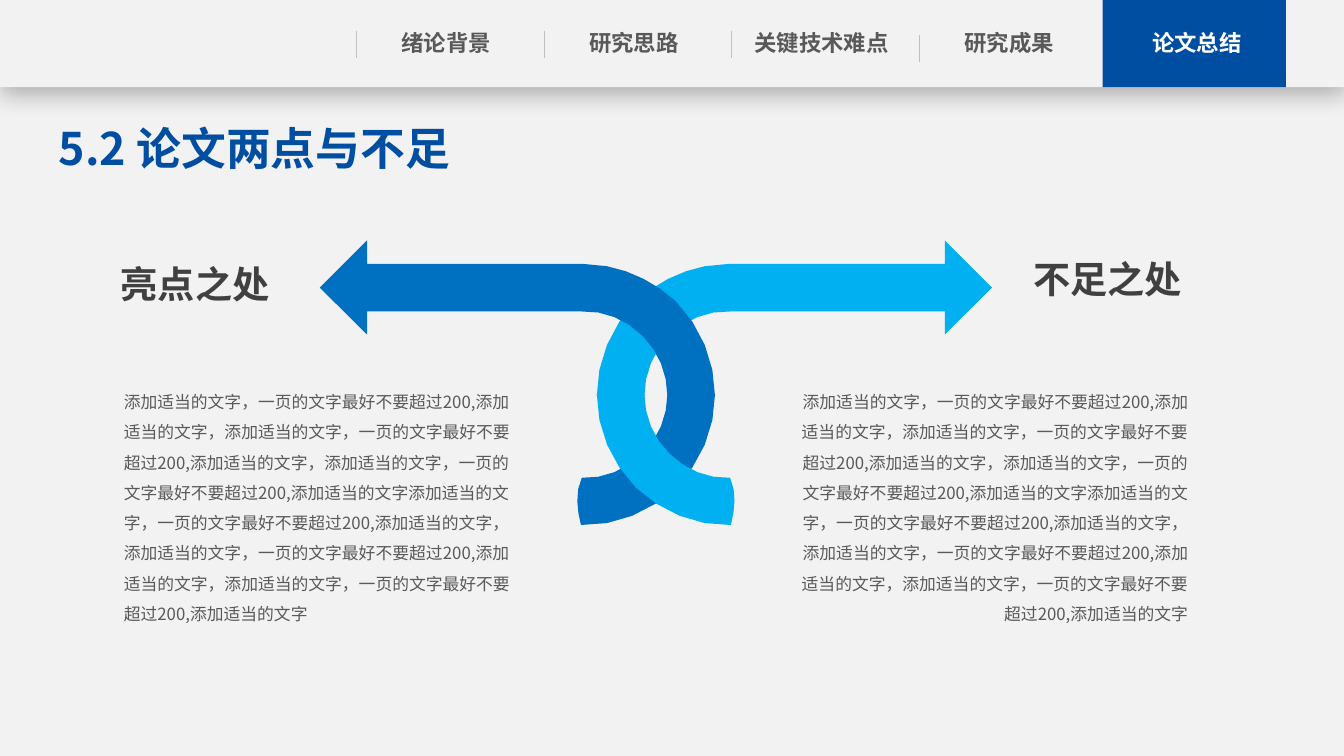
from dataclasses import dataclass

from lxml import etree
from pptx import Presentation
from pptx.dml.color import RGBColor
from pptx.enum.shapes import MSO_CONNECTOR, MSO_SHAPE
from pptx.enum.text import MSO_ANCHOR, MSO_AUTO_SIZE, PP_ALIGN
from pptx.oxml.ns import qn
from pptx.util import Cm, Pt

LEFT, CENTER, RIGHT = PP_ALIGN.LEFT, PP_ALIGN.CENTER, PP_ALIGN.RIGHT
TOP, NO_AUTOFIT = MSO_ANCHOR.TOP, MSO_AUTO_SIZE.NONE
RECTANGLE, STRAIGHT = MSO_SHAPE.RECTANGLE, MSO_CONNECTOR.STRAIGHT

FONT = "Noto Sans CJK SC"
COLORS = {
    "paper": "F2F2F2", "navy": "004EA2", "blue": "0070C0", "sky": "00B0F0",
    "text": "595959", "heading": "404040", "divider": "BFBFBF", "white": "FFFFFF",
    "shadow": "000000",
}
SLIDE_WIDTH, SLIDE_HEIGHT, HEADER_HEIGHT = 33.87, 19.05, 2.2
TAB_LEFT, TAB_PITCH, TAB_WIDTH = 9.38, 4.73, 3.73
TABS = ["绪论背景", "研究思路", "关键技术难点", "研究成果", "论文总结"]
ACTIVE_TAB = 4
DIVIDER_TOPS = [0.79, 0.79, 0.79, 0.88]

PHRASE = "添加适当的文字"
SENTENCE = f"{PHRASE}，一页的文字最好不要超过200,{PHRASE}"
BODY = "，".join([SENTENCE, SENTENCE, SENTENCE * 2, SENTENCE, SENTENCE])

Point = tuple[float, float]
Outline = list[tuple[Point, ...]]

# x runs from the mirror axis; one point is a line, three are a Bézier curve
AXIS = 16.53
ARROW: Outline = [
    ((7.28, 6.06),), ((8.47, 7.25),), ((7.28, 8.43),), ((7.28, 7.85),), ((1.87, 7.85),),
    ((1.31, 7.82), (0.75, 8.05), (0.34, 8.46)),
    ((-0.06, 8.86), (-0.29, 9.40), (-0.29, 9.98)),
    ((-1.49, 9.98),),
    ((-1.49, 9.09), (-1.13, 8.23), (-0.50, 7.59)),
    ((-0.01, 7.14), (0.60, 6.83), (1.23, 6.71)),
    ((1.84, 6.65),), ((7.28, 6.65),),
]
TAIL: Outline = [
    ((-1.49, 9.93),),
    ((-1.49, 10.82), (-1.13, 11.66), (-0.50, 12.29)),
    ((0.14, 12.90), (1.00, 13.26), (1.89, 13.23)),
    ((1.99, 12.85), (2.04, 12.40), (1.87, 12.04)),
    ((1.31, 12.07), (0.75, 11.84), (0.34, 11.43)),
    ((-0.06, 11.05), (-0.29, 10.49), (-0.29, 9.93)),
]


@dataclass(frozen=True)
class Ribbon:
    outline: Outline
    side: int
    color: str


@dataclass(frozen=True)
class Column:
    heading: str
    heading_left: float
    heading_top: float
    body_left: float
    body_width: float
    align: PP_ALIGN


RIBBONS = [
    Ribbon(ARROW, 1, "sky"), Ribbon(ARROW, -1, "blue"),
    Ribbon(TAIL, -1, "blue"), Ribbon(TAIL, 1, "sky"),
]
COLUMNS = [
    Column("亮点之处", 2.79, 6.45, 2.8, 10.5, LEFT),
    Column("不足之处", 25.79, 6.33, 19.66, 10.6, RIGHT),
]


def rgb(name: str) -> RGBColor:
    return RGBColor.from_string(COLORS[name])


def place(shape, left: float, top: float, width: float, height: float) -> None:
    shape.left, shape.top = Cm(left), Cm(top)
    shape.width, shape.height = Cm(width), Cm(height)


def write(shape, text: str, *, size: float, color: str, bold: bool = False,
          align: PP_ALIGN = LEFT, insets: Point = (0, 0.13), wrap: bool = True,
          line_spacing: float = 1.0) -> None:
    frame = shape.text_frame
    frame.auto_size, frame.word_wrap, frame.vertical_anchor = NO_AUTOFIT, wrap, TOP
    frame.margin_left = frame.margin_right = Cm(insets[0])
    frame.margin_top = frame.margin_bottom = Cm(insets[1])
    paragraph = frame.paragraphs[0]
    paragraph.alignment, paragraph.line_spacing = align, line_spacing
    paragraph.space_before = Pt(0)
    run = paragraph.add_run()
    run.text = text
    run.font.size, run.font.bold, run.font.name = Pt(size), bold, FONT
    run.font.color.rgb = rgb(color)
    etree.SubElement(run._r.get_or_add_rPr(), qn("a:ea"), typeface=FONT)


def remove_bullet(shape) -> None:
    properties = shape.text_frame.paragraphs[0]._p.get_or_add_pPr()
    properties.set("marL", "0")
    properties.set("indent", "0")
    etree.SubElement(properties, qn("a:buNone"))


def paint(shape, color: str) -> None:
    shape.shadow.inherit = False
    shape.fill.solid()
    shape.fill.fore_color.rgb = rgb(color)
    shape.line.fill.background()


def add_block(slide, left: float, width: float, height: float, color: str):
    block = slide.shapes.add_shape(RECTANGLE, Cm(left), 0, Cm(width), Cm(height))
    paint(block, color)
    return block


def add_text(slide, box: tuple[float, float, float, float], text: str, **style) -> None:
    write(slide.shapes.add_textbox(*map(Cm, box)), text, **style)


def add_drop_shadow(shape) -> None:
    effects = shape._element.spPr.find(qn("a:effectLst"))
    shadow = etree.SubElement(effects, qn("a:outerShdw"), blurRad=str(Pt(18)),
                              dist=str(Pt(4)), dir="5400000", algn="t", rotWithShape="0")
    tint = etree.SubElement(shadow, qn("a:srgbClr"), val=COLORS["shadow"])
    etree.SubElement(tint, qn("a:alpha"), val="29000")


def add_header(slide) -> None:
    add_drop_shadow(add_block(slide, 0, SLIDE_WIDTH, HEADER_HEIGHT, "paper"))
    add_block(slide, 27.79, 4.62, HEADER_HEIGHT, "navy")
    for index, label in enumerate(TABS):
        color = "white" if index == ACTIVE_TAB else "text"
        add_text(slide, (TAB_LEFT + index * TAB_PITCH, 0.61, TAB_WIDTH, 0.97), label,
                 size=16, color=color, bold=True, align=CENTER)
    for index, top in enumerate(DIVIDER_TOPS):
        x = Cm(TAB_LEFT - 0.4 + index * TAB_PITCH)
        divider = slide.shapes.add_connector(STRAIGHT, x, Cm(top), x, Cm(top + 0.68))
        divider.line.color.rgb, divider.line.width = rgb("divider"), Pt(0.5)
        etree.SubElement(divider._element.spPr, qn("a:effectLst"))


def flatten(outline: Outline, steps: int = 4) -> list[Point]:
    """Turn lines and cubic curves into a polygon."""
    points: list[Point] = []
    for segment in outline:
        if len(segment) == 1:
            points.append(segment[0])
            continue
        curve = (points[-1], *segment)
        for step in range(1, steps + 1):
            t = step / steps
            weights = ((1 - t) ** 3, 3 * t * (1 - t) ** 2, 3 * t * t * (1 - t), t ** 3)
            x, y = (sum(w * p[axis] for w, p in zip(weights, curve)) for axis in (0, 1))
            points.append((x, y))
    return points


def add_ribbon(slide, ribbon: Ribbon) -> None:
    start, *rest = [(Cm(AXIS + ribbon.side * x), Cm(y)) for x, y in flatten(ribbon.outline)]
    builder = slide.shapes.build_freeform(*start)
    builder.add_line_segments(rest, close=True)
    paint(builder.convert_to_shape(), ribbon.color)


def main() -> None:
    deck = Presentation()
    deck.slide_width, deck.slide_height = Cm(SLIDE_WIDTH), Cm(SLIDE_HEIGHT)
    slide = deck.slides.add_slide(deck.slide_layouts.get_by_name("Two Content"))
    title, *bodies = slide.placeholders
    backdrop = add_block(slide, 0, SLIDE_WIDTH, SLIDE_HEIGHT, "paper")
    title.element.addprevious(backdrop.element)
    add_header(slide)
    place(title, 1.48, 2.92, 10.95, 1.63)
    write(title, "5.2 论文两点与不足", size=32, color="navy", bold=True)
    for ribbon in RIBBONS:
        add_ribbon(slide, ribbon)
    for column, body in zip(COLUMNS, bodies):
        add_text(slide, (column.heading_left, column.heading_top, 4.32, 1.4), column.heading,
                 size=26.6, color="heading", bold=True, insets=(0.25, 0.13), wrap=False)
        place(body, column.body_left, 9.46, column.body_width, 6.48)
        write(body, BODY, size=12, color="text", align=column.align,
              insets=(0.32, 0.16), line_spacing=1.5)
        remove_bullet(body)
    deck.save("out.pptx")


if __name__ == "__main__":
    main()
